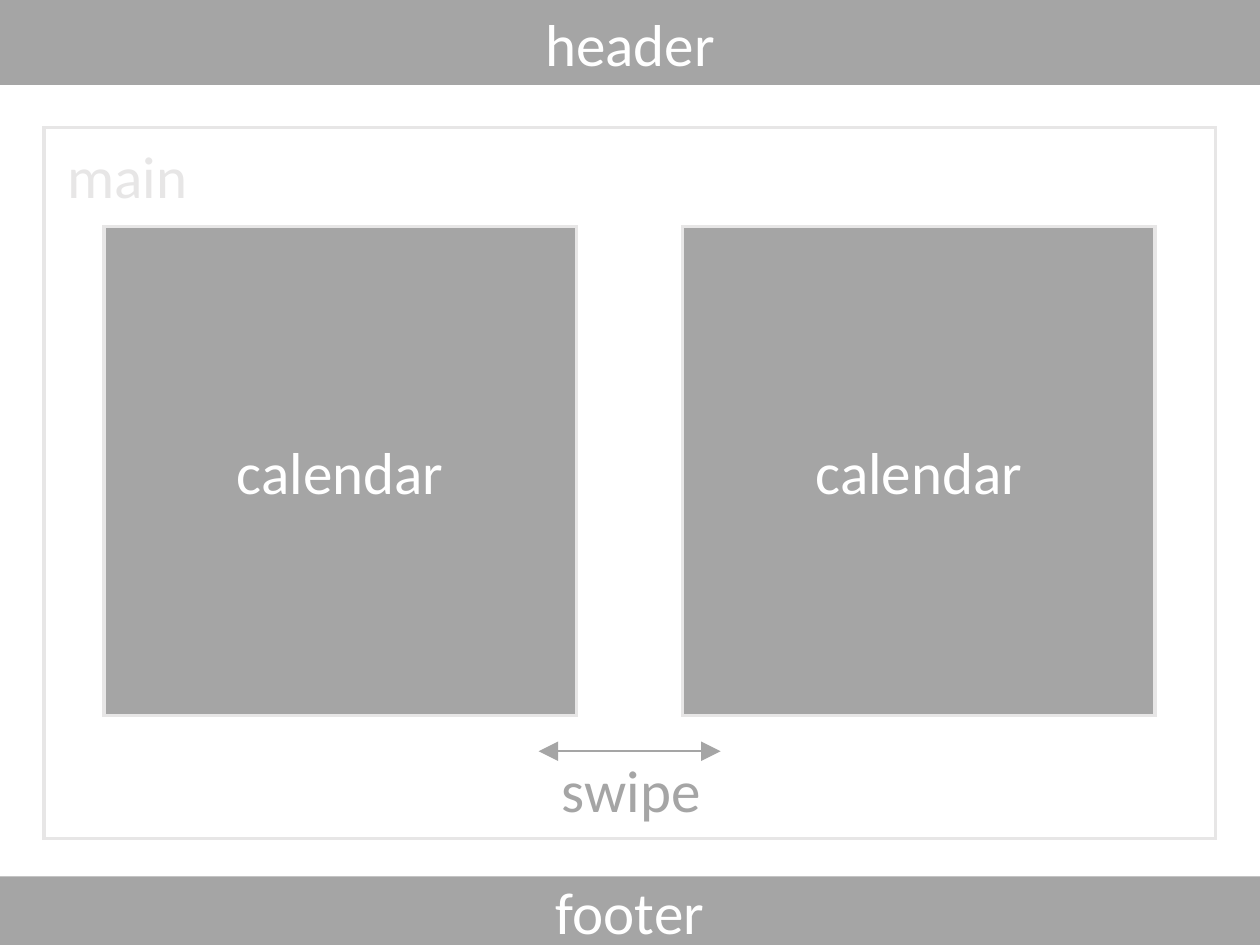
import pptx
import pptx.util
import pptx.dml.color
import pptx.enum.shapes
import pptx.enum.text
import pptx.oxml.ns
from lxml import etree

H = 4
W = H * 4 / 3
GREY, PALE, WHITE = "A5A5A5", "E7E6E6", "FFFFFF"
BARS = [("header", 0, 0.36), ("footer", 3.71, 0.29)]
MAIN_W, MAIN_H = 4.96, 3.01
MAIN = ("main", (W - MAIN_W) / 2, 0.54, MAIN_W, MAIN_H)
CALENDARS = ["calendar", "calendar"]
CAL_LEFT, CAL_TOP, CAL_W, CAL_H, CAL_GAP = 0.44, 0.96, 2, 2.07, 0.45
SWIPE = ("swipe", 2.28, 3.14, 0.87, 0.4)
ARROW = (2.28, 3.05, 3.18)

inch = pptx.util.Inches
qn = pptx.oxml.ns.qn
ALIGN = pptx.enum.text.PP_ALIGN
ANCHOR = pptx.enum.text.MSO_ANCHOR


def rgb(value):
    return pptx.dml.color.RGBColor.from_string(value)


def write(sp, text, color=WHITE, size=18, align=ALIGN.CENTER, anchor=ANCHOR.MIDDLE):
    tf = sp.text_frame
    tf.word_wrap = True
    tf.vertical_anchor = anchor
    p = tf.paragraphs[0]
    p.alignment = align
    r = p.add_run()
    r.text = text
    r.font.name = "Calibri"
    r.font.size = pptx.util.Pt(size)
    r.font.color.rgb = rgb(color)


def stroke(sp, color, width):
    sp.line.color.rgb = rgb(color)
    sp.line.width = pptx.util.Pt(width)
    ln = sp.line._get_or_add_ln()
    etree.SubElement(ln, qn("a:miter"), lim="800000")
    return ln


def box(x, y, w, h, fill=None, line=None):
    sp = s.shapes.add_shape(
        pptx.enum.shapes.MSO_SHAPE.RECTANGLE, inch(x), inch(y), inch(w), inch(h))
    sp.shadow.inherit = False
    if fill:
        sp.fill.solid()
        sp.fill.fore_color.rgb = rgb(fill)
    else:
        sp.fill.background()
    if line:
        stroke(sp, line, 1)
    else:
        sp.line.fill.background()
    return sp


def double_arrow(x1, x2, y):
    c = s.shapes.add_connector(
        pptx.enum.shapes.MSO_CONNECTOR.STRAIGHT, inch(x1), inch(y), inch(x2), inch(y))
    ln = stroke(c, GREY, 0.5)
    for end in ("a:headEnd", "a:tailEnd"):
        etree.SubElement(ln, qn(end), type="triangle")
    etree.SubElement(c._element.spPr, qn("a:effectLst"))


prs = pptx.Presentation()
prs.slide_width, prs.slide_height = inch(W), inch(H)
s = prs.slides.add_slide(prs.slide_layouts[6])

for name, top, height in BARS:
    write(box(0, top, W, height, fill=GREY), name)

name, *place = MAIN
write(box(*place, line=PALE), name, color=PALE, align=ALIGN.LEFT, anchor=ANCHOR.TOP)

for i, name in enumerate(CALENDARS):
    x = CAL_LEFT + i * (CAL_W + CAL_GAP)
    write(box(x, CAL_TOP, CAL_W, CAL_H, fill=GREY, line=PALE), name)

double_arrow(*ARROW)

name, *place = SWIPE
label = s.shapes.add_textbox(*map(inch, place))
write(label, name, color=GREY, align=ALIGN.LEFT, anchor=ANCHOR.TOP)
label.text_frame.auto_size = pptx.enum.text.MSO_AUTO_SIZE.SHAPE_TO_FIT_TEXT

prs.save("out.pptx")
